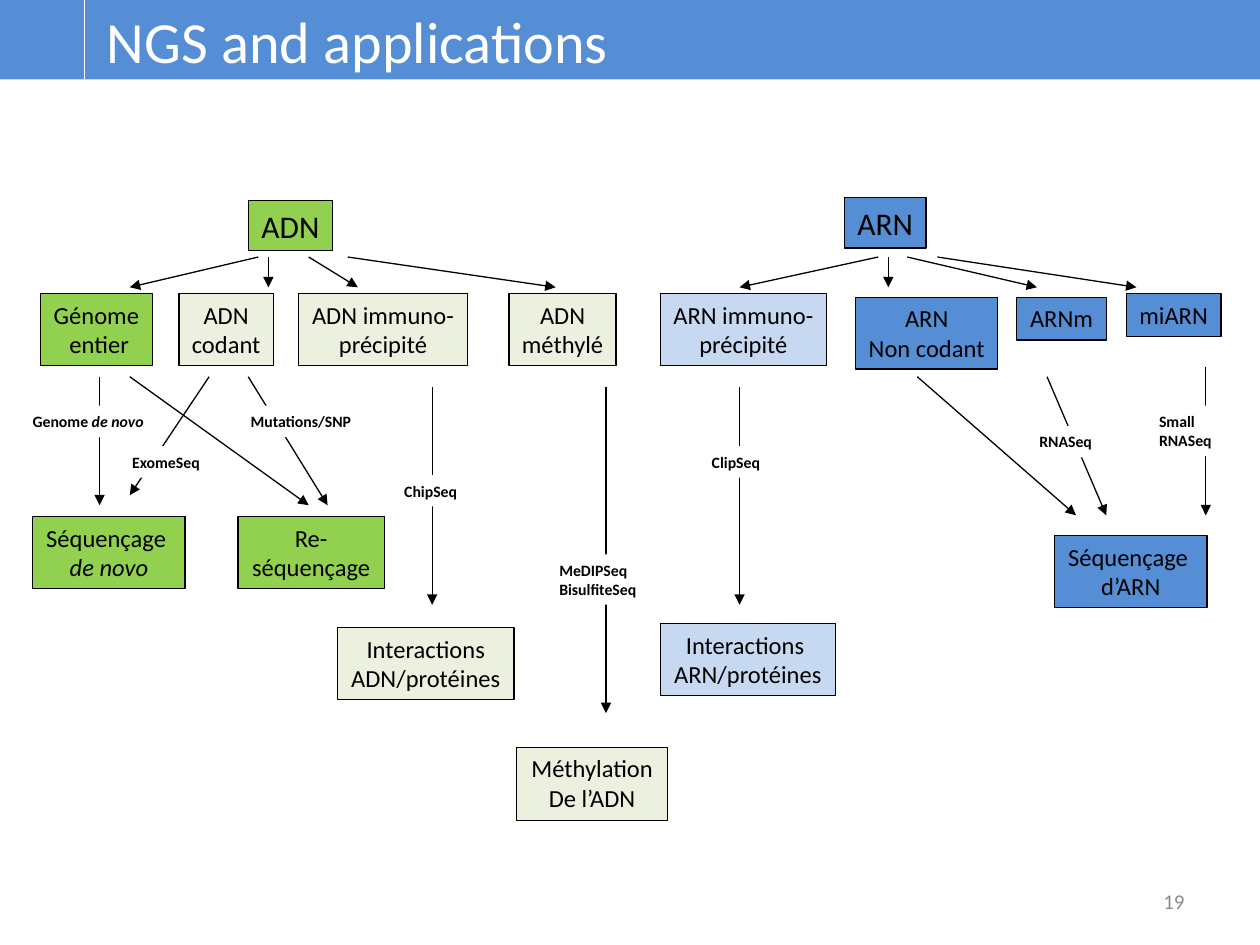
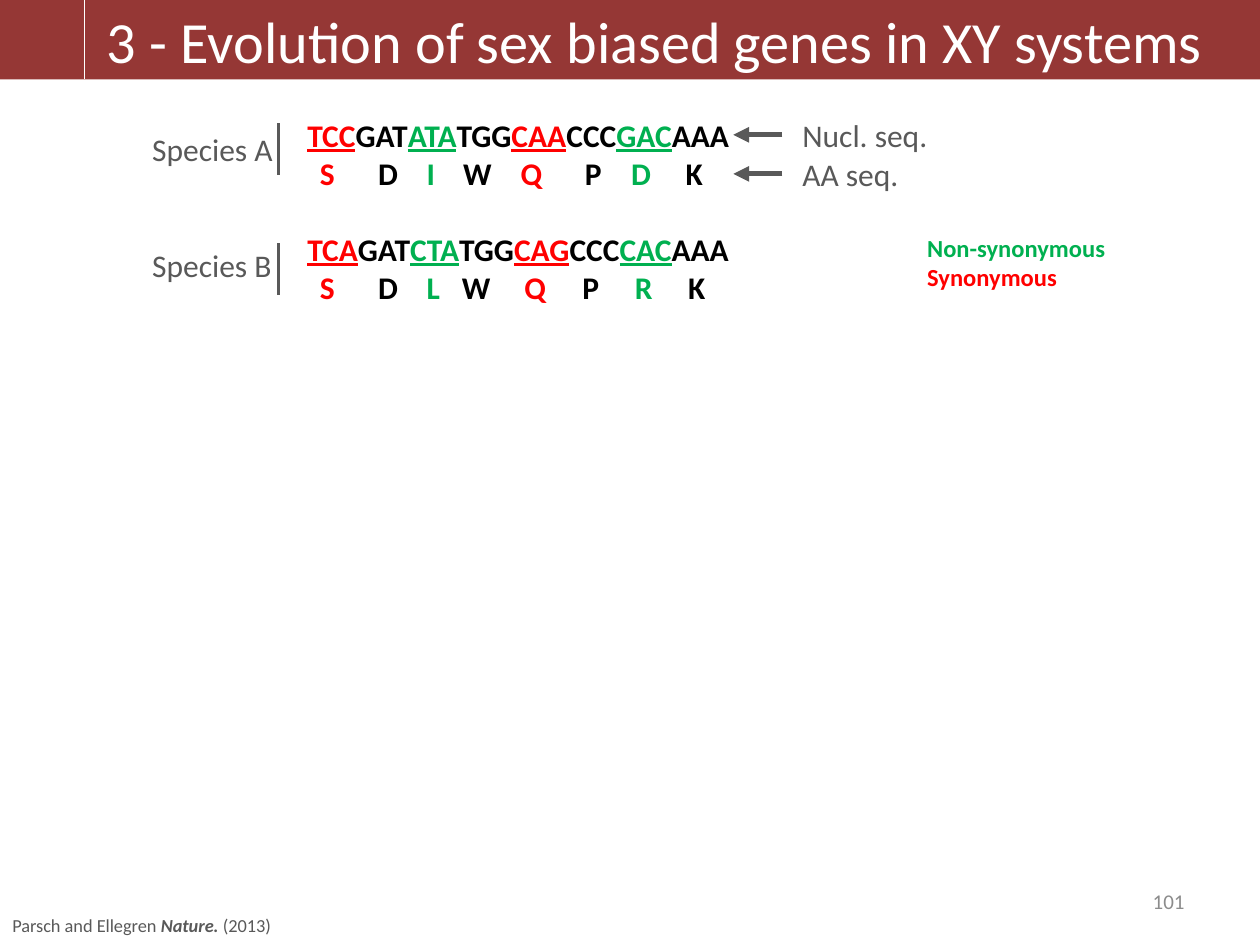
from lxml import etree
from pptx import Presentation
from pptx.dml.color import RGBColor
from pptx.enum.shapes import MSO_CONNECTOR, MSO_SHAPE
from pptx.enum.text import MSO_ANCHOR, PP_ALIGN
from pptx.oxml.ns import qn
from pptx.util import Pt

STRAIGHT = MSO_CONNECTOR.STRAIGHT
RECTANGLE = MSO_SHAPE.RECTANGLE
TOP, MIDDLE = MSO_ANCHOR.TOP, MSO_ANCHOR.MIDDLE
LEFT, CENTER, RIGHT = PP_ALIGN.LEFT, PP_ALIGN.CENTER, PP_ALIGN.RIGHT

EMU_PER_PX = 9144
PAGE_WIDTH, PAGE_HEIGHT = 1000, 750
BAND_HEIGHT = 63
FONT = "Calibri"
COLORS = {
    "black": "000000", "white": "FFFFFF", "gray": "595959", "number": "8C8C8C",
    "blue": "558ED5", "pale_blue": "C6D9F1", "lime": "92D050", "pale_lime": "EBF1DE",
    "brick": "953735", "red": "FF0000", "green": "00B050",
}


def emu(px):
    return px * EMU_PER_PX


def rgb(name):
    return RGBColor.from_string(COLORS[name])


class Deck:
    def __init__(self):
        self.presentation = Presentation()
        self.presentation.slide_width = emu(PAGE_WIDTH)
        self.presentation.slide_height = emu(PAGE_HEIGHT)
        self.page = None

    def add_page(self, title, color, number):
        layout = self.presentation.slide_layouts[6]
        self.page = self.presentation.slides.add_slide(layout)
        self.box((0, 0, PAGE_WIDTH, BAND_HEIGHT), color)
        self.text((75, 5, 921, 54), [title], size=33.3, color="white",
                  anchor=MIDDLE, margin=0, wrap=True)
        self.line((67, 0), (67, BAND_HEIGHT), "white")
        self.text((717, 695, 233, 40), [number], size=12, color="number",
                  align=RIGHT, anchor=MIDDLE, wrap=True)

    def box(self, area, fill, border=None):
        box = self.page.shapes.add_shape(RECTANGLE, *map(emu, area))
        box.shadow.inherit = False
        box.fill.solid()
        box.fill.fore_color.rgb = rgb(fill)
        if border:
            box.line.color.rgb = rgb(border)
            box.line.width = Pt(0.75)
        else:
            box.line.fill.background()
        return box

    def text(self, area, lines, **style):
        box = self.page.shapes.add_textbox(*map(emu, area))
        self.fill_text(box, lines, **style)
        return box

    def fill_text(self, box, lines, size=18, color="black", align=LEFT,
                  anchor=TOP, margin=5, wrap=False, **formats):
        frame = box.text_frame
        settings = {"word_wrap": wrap, "vertical_anchor": anchor,
                    "margin_left": emu(10), "margin_right": emu(10),
                    "margin_top": emu(margin), "margin_bottom": emu(margin)}
        for name, value in settings.items():
            setattr(frame, name, value)
        for index, line in enumerate(lines):
            para = frame.paragraphs[0] if index == 0 else frame.add_paragraph()
            para.alignment = align
            for words, changes in [(line, {})] if isinstance(line, str) else line:
                span = para.add_run()
                span.text = words
                values = {"name": FONT, "size": Pt(size), "color": color,
                          **formats, **changes}
                span.font.color.rgb = rgb(values.pop("color"))
                for name, value in values.items():
                    setattr(span.font, name, value)

    def node(self, area, fill, lines, size=14):
        self.fill_text(self.box(area, fill, "black"), lines, size=size, align=CENTER)

    def label(self, area, lines):
        self.fill_text(self.box(area, "white"), lines, size=9, bold=True)

    def line(self, start, end, color="black", width=0.75, arrow=False):
        line = self.page.shapes.add_connector(STRAIGHT, *map(emu, start + end))
        line.line.color.rgb = rgb(color)
        line.line.width = Pt(width)
        properties = line._element.spPr
        if arrow:
            outline = properties.find(qn("a:ln"))
            etree.SubElement(outline, qn("a:tailEnd"), type="triangle")
        etree.SubElement(properties, qn("a:effectLst"))

    def center_tabs(self, para, stops):
        tabs = etree.SubElement(para._p.get_or_add_pPr(), qn("a:tabLst"))
        for stop in stops:
            etree.SubElement(tabs, qn("a:tab"), pos=str(emu(stop)), algn="ctr")


def applications_page(deck):
    deck.add_page("NGS and applications", "blue", "19")

    branches = [
        (205, 103), (213, 213), (245, 284), (276, 441),
        (697, 587), (705, 705), (720, 823), (744, 902),
    ]
    for start, end in branches:
        deck.line((start, 204), (end, 228), arrow=True)

    methods = [
        (197, 299, 260, 401), (166, 299, 103, 393), (79, 299, 79, 401),
        (103, 299, 245, 401), (343, 307, 343, 480), (481, 307, 481, 566),
        (587, 307, 587, 480), (831, 299, 878, 409), (957, 291, 957, 409),
        (728, 299, 854, 409),
    ]
    for left, top, right, bottom in methods:
        deck.line((left, top), (right, bottom), arrow=True)

    deck.node((197, 159, 67, 40), "lime", ["ADN"], 18)
    deck.node((670, 157, 65, 40), "blue", ["ARN"], 18)

    italic = {"italic": True}
    nodes = [
        ((32, 233, 89, 57), "lime", ["Génome", " entier"]),
        ((142, 233, 75, 57), "pale_lime", ["ADN", "codant"]),
        ((237, 233, 134, 57), "pale_lime", ["ADN immuno-", "précipité"]),
        ((404, 233, 85, 57), "pale_lime", ["ADN", "méthylé"]),
        ((524, 233, 132, 57), "pale_blue", ["ARN immuno-", "précipité"]),
        ((679, 236, 113, 57), "blue", ["ARN", "Non codant"]),
        ((807, 236, 71, 34), "blue", ["ARNm"]),
        ((894, 233, 75, 34), "blue", ["miARN"]),
        ((26, 410, 121, 57), "lime", ["Séquençage ", [("de novo", italic)]]),
        ((189, 410, 116, 57), "lime", ["Re-", "séquençage"]),
        ((268, 498, 140, 57), "pale_lime", ["Interactions", "ADN/protéines"]),
        ((410, 593, 120, 58), "pale_lime", ["Méthylation", "De l’ADN"]),
        ((524, 495, 139, 57), "pale_blue", ["Interactions ", "ARN/protéines"]),
        ((837, 425, 121, 57), "blue", ["Séquençage ", "d’ARN"]),
    ]
    for area, fill, lines in nodes:
        deck.node(area, fill, lines)

    labels = [
        ((95, 354, 75, 25), ["ExomeSeq"]),
        ((189, 322, 102, 25), ["Mutations/SNP"]),
        ((311, 377, 63, 25), ["ChipSeq"]),
        ((434, 440, 92, 40), ["MeDIPSeq", "BisulfiteSeq"]),
        ((16, 322, 112, 25), [[("Genome ", {}), ("de novo", italic)]]),
        ((555, 354, 59, 25), ["ClipSeq"]),
        ((910, 322, 62, 40), ["Small", "RNASeq"]),
        ((815, 338, 62, 25), ["RNASeq"]),
    ]
    for area, lines in labels:
        deck.label(area, lines)


def evolution_page(deck):
    deck.add_page("3 - Evolution of sex biased genes in XY systems", "brick", "101")

    codon_colors = ["red", "black", "green", "black", "red", "black", "green", "black"]
    species = [
        ("TCC GAT ATA TGG CAA CCC GAC AAA", "SDIWQPDK",
         (16, 64, 98, 135, 178, 227, 265, 307)),
        ("TCA GAT CTA TGG CAG CCC CAC AAA", "SDLWQPRK",
         (16, 64, 100, 134, 181, 225, 267, 309)),
    ]
    lines = []
    for codons, acids, _ in species:
        lines.append([(codon, {"color": color, "underline": color != "black"})
                      for codon, color in zip(codons.split(), codon_colors)])
        lines.append([("\t" + acid, {"color": color})
                      for acid, color in zip(acids, codon_colors)])
    sequences = deck.text((234, 87, 375, 162), lines, bold=True, wrap=True)
    paras = sequences.text_frame.paragraphs
    paras[2].space_before = Pt(22)
    for para, (_, _, stops) in zip(paras[1::2], species):
        deck.center_tabs(para, stops)

    for name, top, bar_top in [("Species A", 98, 98), ("Species B", 190, 193)]:
        deck.text((111, top, 117, 40), [name], color="gray")
        deck.line((221, bar_top), (221, bar_top + 41), "gray", 1.5)

    for name, top, width in [("Nucl. seq.", 87, 120), ("AA seq.", 118, 97)]:
        deck.text((627, top, width, 40), [name], color="gray")
        deck.line((621, top + 20), (582, top + 20), "gray", 3, arrow=True)

    legend = [[("Non-synonymous", {"color": "green"})],
              [("Synonymous", {"color": "red"})]]
    deck.text((726, 180, 162, 57), legend, size=14, bold=True)

    citation = [("Parsch and Ellegren ", {}),
                ("Nature.", {"bold": True, "italic": True}), (" (2013)", {})]
    deck.text((0, 721, 234, 29), [citation], size=10.5, color="gray")


def main():
    deck = Deck()
    applications_page(deck)
    evolution_page(deck)
    deck.presentation.save("out.pptx")


if __name__ == "__main__":
    main()
